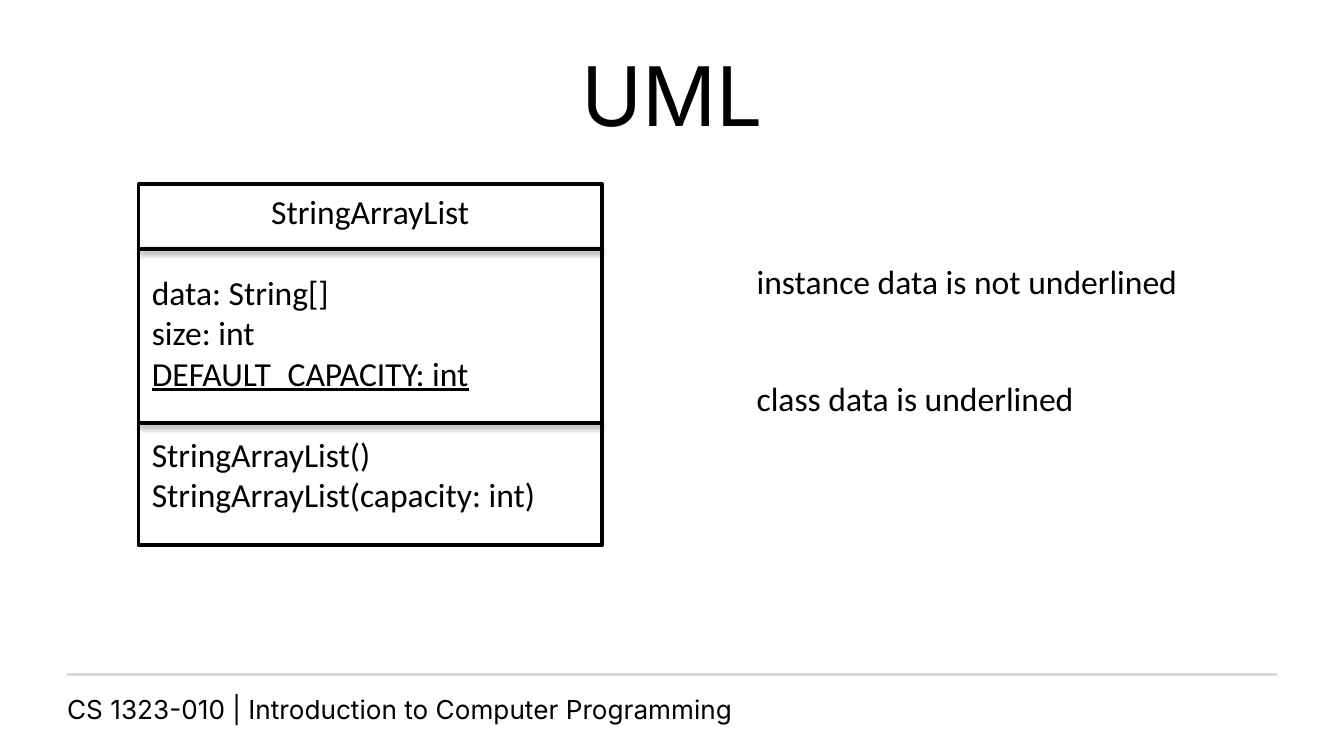
from dataclasses import dataclass

from lxml.etree import SubElement
from pptx import Presentation
from pptx.dml.color import RGBColor
from pptx.enum.shapes import MSO_CONNECTOR, MSO_SHAPE
from pptx.enum.text import MSO_ANCHOR, MSO_AUTO_SIZE, PP_ALIGN
from pptx.oxml.ns import qn
from pptx.util import Cm, Pt


@dataclass(frozen=True)
class Theme:
    """Colours, fonts and sizes of the slide."""
    ink: RGBColor = RGBColor(0, 0, 0)
    paper: RGBColor = RGBColor(255, 255, 255)
    rule: RGBColor = RGBColor(0xD9, 0xD9, 0xD9)
    heading_font: str = "Inter"
    body_font: str = "Calibri"
    title_size: Pt = Pt(44)
    body_size: Pt = Pt(18)
    footer_size: Pt = Pt(14)
    line_width: Pt = Pt(2)
    section_gap: Pt = Pt(22)


THEME = Theme()
BODY = {"name": THEME.body_font, "size": THEME.body_size}
TITLE = {"name": THEME.heading_font, "size": THEME.title_size}
FOOTER = {"name": THEME.heading_font, "size": THEME.footer_size}

CLASS_LEFT, CLASS_TOP, CLASS_WIDTH, CLASS_HEIGHT = 2.62, 3.48, 8.76, 6.83
DIVIDERS = (4.7, 8.0)
SECTIONS = (
    (PP_ALIGN.CENTER, ("StringArrayList",)),
    (PP_ALIGN.LEFT, ("data: String[]", "size: int", "DEFAULT_CAPACITY: int")),
    (PP_ALIGN.LEFT, ("StringArrayList()", "StringArrayList(capacity: int)")),
)
CLASS_DATA = {"DEFAULT_CAPACITY: int"}
NOTES = (
    (4.8, 8.56, "instance data is not underlined"),
    (7.01, 6.58, "class data is underlined"),
)


def set_attrs(obj, values):
    """Set each named attribute of an object."""
    for name, value in values.items():
        setattr(obj, name, value)


def write(p, text, font):
    """Add one formatted run to a paragraph."""
    r = p.add_run()
    r.text = text
    set_attrs(r.font, font)
    r.font.color.rgb = THEME.ink


def add_title(s, text):
    """Place and fill the title placeholder."""
    sp = s.shapes.title
    set_attrs(sp, {"left": Cm(1.27), "top": Cm(0.58),
                   "width": Cm(22.86), "height": Cm(2.39)})
    tf = sp.text_frame
    set_attrs(tf, {"vertical_anchor": MSO_ANCHOR.MIDDLE, "word_wrap": True})
    p = tf.paragraphs[0]
    p.alignment = PP_ALIGN.CENTER
    write(p, text, TITLE)


def add_text(s, left, top, width, height, text, font, frame):
    """Add a text box with one line of text."""
    tf = s.shapes.add_textbox(Cm(left), Cm(top), Cm(width), Cm(height)).text_frame
    set_attrs(tf, frame)
    write(tf.paragraphs[0], text, font)


def add_line(s, left, right, y, color, shadow=False):
    """Add a horizontal line, with a soft shadow below it if asked."""
    cx = s.shapes.add_connector(
        MSO_CONNECTOR.STRAIGHT, Cm(left), Cm(y), Cm(right), Cm(y))
    cx.line.color.rgb = color
    cx.line.width = THEME.line_width
    effects = SubElement(cx._element.spPr, qn("a:effectLst"))
    if shadow:
        outer = SubElement(effects, qn("a:outerShdw"), blurRad=str(Pt(3.1)),
                           dist=str(Pt(1.6)), dir="5400000", rotWithShape="0")
        black = SubElement(outer, qn("a:srgbClr"), val=str(THEME.ink))
        SubElement(black, qn("a:alpha"), val="38000")


def add_class_box(s):
    """Add the class rectangle with its name, data and constructors."""
    sp = s.shapes.add_shape(MSO_SHAPE.RECTANGLE, Cm(CLASS_LEFT), Cm(CLASS_TOP),
                            Cm(CLASS_WIDTH), Cm(CLASS_HEIGHT))
    sp.shadow.inherit = False
    sp.fill.solid()
    sp.fill.fore_color.rgb = THEME.paper
    sp.line.color.rgb = THEME.ink
    sp.line.width = THEME.line_width
    tf = sp.text_frame
    set_attrs(tf, {"word_wrap": True, "vertical_anchor": MSO_ANCHOR.TOP})
    p = tf.paragraphs[0]
    for i, (alignment, members) in enumerate(SECTIONS):
        for j, member in enumerate(members):
            if i or j:
                p = tf.add_paragraph()
            p.alignment = alignment
            if i and not j:
                p.space_before = THEME.section_gap
            write(p, member, {**BODY, "underline": member in CLASS_DATA})


def main():
    """Build and save the slide."""
    prs = Presentation()
    set_attrs(prs, {"slide_width": Cm(25.4), "slide_height": Cm(14.29)})
    s = prs.slides.add_slide(prs.slide_layouts[5])
    add_text(s, 1.02, 12.98, 22.86, 0.53,
             "CS 1323-010 | Introduction to Computer Programming",
             FOOTER, {"word_wrap": True})
    add_line(s, 1.27, 24.13, 12.75, THEME.rule)
    add_title(s, "UML")
    add_class_box(s)
    for y in DIVIDERS:
        add_line(s, CLASS_LEFT, CLASS_LEFT + CLASS_WIDTH, y, THEME.ink, shadow=True)
    for top, width, note in NOTES:
        add_text(s, 14.05, top, width, 1.02, note, BODY,
                 {"word_wrap": False, "auto_size": MSO_AUTO_SIZE.SHAPE_TO_FIT_TEXT})
    prs.save("out.pptx")


if __name__ == "__main__":
    main()
